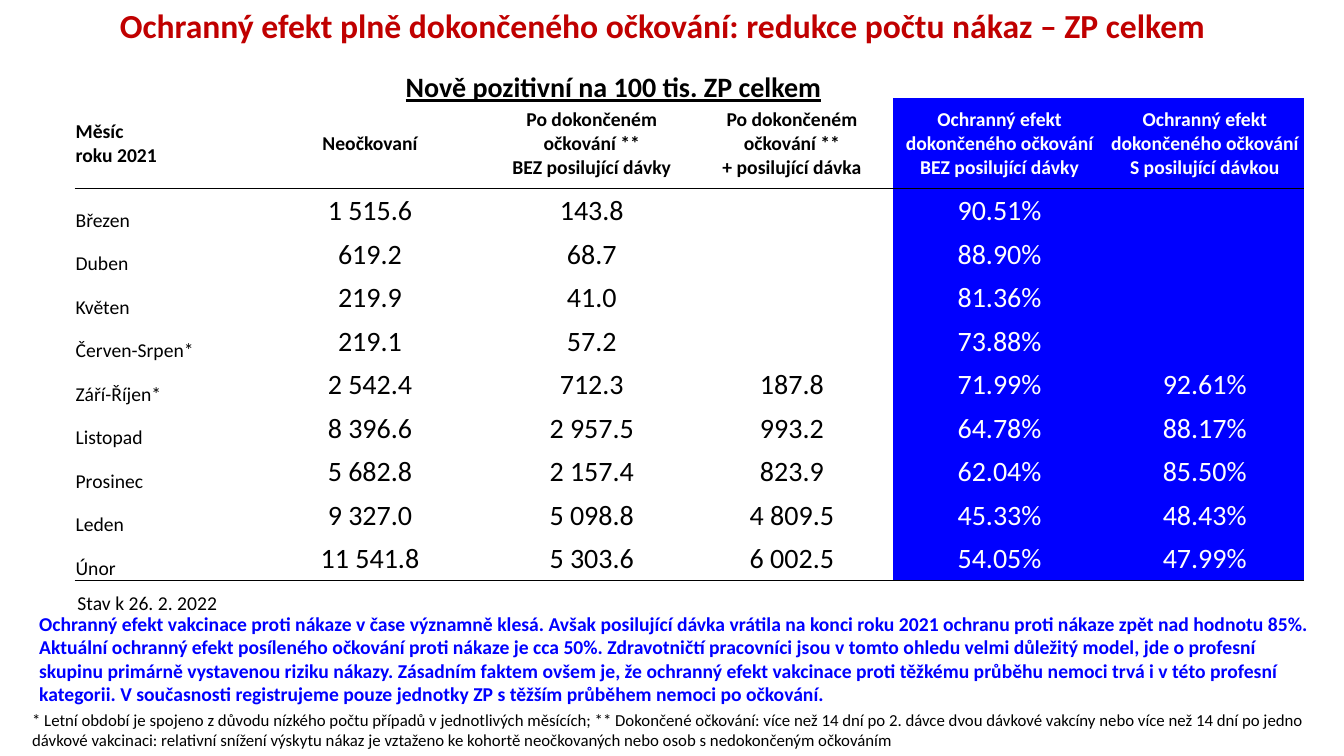
from lxml.etree import SubElement
from pptx import Presentation
from pptx.dml.color import RGBColor
from pptx.enum.text import MSO_ANCHOR, MSO_AUTO_SIZE, PP_ALIGN
from pptx.oxml import parse_xml
from pptx.oxml.ns import nsdecls, qn
from pptx.util import Inches, Pt

COLORS = {"black": "000000", "white": "FFFFFF", "red": "C00000", "blue": "0000FF"}
NO_STYLE = "{2D5ABB26-0587-4C30-8999-92F81FD0307C}"
COLUMN_WIDTHS = [1.71, 2.44, 1.96, 2.01, 2.11, 1.96]
HEADER_ROW, FIRST_EFFECT_COLUMN = 1, 4
HEADER_HEIGHT = 0.9

HEADERS = [
    "Měsíc\nroku 2021",
    "Neočkovaní",
    "Po dokončeném\nočkování **\nBEZ posilující dávky",
    "Po dokončeném\nočkování **\n+ posilující dávka",
    "Ochranný efekt dokončeného očkování BEZ posilující dávky",
    "Ochranný efekt dokončeného očkování S posilující dávkou",
]
MONTHS = [
    ["Březen", "1 515.6", "143.8", "", "90.51%", ""],
    ["Duben", "619.2", "68.7", "", "88.90%", ""],
    ["Květen", "219.9", "41.0", "", "81.36%", ""],
    ["Červen-Srpen*", "219.1", "57.2", "", "73.88%", ""],
    ["Září-Říjen*", "2 542.4", "712.3", "187.8", "71.99%", "92.61%"],
    ["Listopad", "8 396.6", "2 957.5", "993.2", "64.78%", "88.17%"],
    ["Prosinec", "5 682.8", "2 157.4", "823.9", "62.04%", "85.50%"],
    ["Leden", "9 327.0", "5 098.8", "4 809.5", "45.33%", "48.43%"],
    ["Únor", "11 541.8", "5 303.6", "6 002.5", "54.05%", "47.99%"],
]
CONCLUSION = (
    "Ochranný efekt vakcinace proti nákaze v čase významně klesá. Avšak posilující dávka "
    "vrátila na konci roku 2021 ochranu proti nákaze zpět nad hodnotu 85%. Aktuální ochranný "
    "efekt posíleného očkování proti nákaze je cca 50%. Zdravotničtí pracovníci jsou v tomto "
    "ohledu velmi důležitý model, jde o profesní skupinu primárně vystavenou riziku nákazy. "
    "Zásadním faktem ovšem je, že ochranný efekt vakcinace proti těžkému průběhu nemoci trvá "
    "i v této profesní kategorii. V současnosti registrujeme pouze jednotky ZP s těžším "
    "průběhem nemoci po očkování."
)
FOOTNOTE = (
    "* Letní období je spojeno z důvodu nízkého počtu případů v jednotlivých měsících; "
    "** Dokončené očkování: více než 14 dní po 2. dávce dvou dávkové vakcíny nebo více než "
    "14 dní po jedno dávkové vakcinaci: relativní snížení výskytu nákaz je vztaženo ke "
    "kohortě neočkovaných nebo osob s nedokončeným očkováním"
)


def write_text(text_frame, text, size=14, color="black", bold=False, underline=False,
               align=PP_ALIGN.LEFT, line_spacing=1.0):
    """Fill a text frame, one paragraph for each line of text."""
    text_frame.text = text
    for paragraph in text_frame.paragraphs:
        paragraph.alignment = align
        paragraph.line_spacing = line_spacing
        paragraph.space_before = Pt(0)
        for run in paragraph.runs:
            run.font.name = "Calibri"
            run.font.size = Pt(size)
            run.font.bold = bold
            run.font.underline = underline
            run.font.color.rgb = RGBColor.from_string(COLORS[color])


def add_bottom_border(cell):
    border = parse_xml(f'<a:lnB {nsdecls("a")} w="{Pt(1)}"/>')
    fill = SubElement(border, qn("a:solidFill"))
    SubElement(fill, qn("a:srgbClr"), val=COLORS["black"])
    cell._tc.get_or_add_tcPr().insert(0, border)


class SlideBuilder:
    def __init__(self, presentation):
        self.slide = presentation.slides.add_slide(presentation.slide_layouts[5])

    def title(self, text, left, top, width, height, **text_format):
        title = self.slide.shapes.title
        title.left, title.top = Inches(left), Inches(top)
        title.width, title.height = Inches(width), Inches(height)
        title.text_frame.auto_size = MSO_AUTO_SIZE.NONE
        title.text_frame.vertical_anchor = MSO_ANCHOR.TOP
        write_text(title.text_frame, text, **text_format)

    def text(self, text, left, top, width, height, **text_format):
        box = self.slide.shapes.add_textbox(
            Inches(left), Inches(top), Inches(width), Inches(height))
        box.text_frame.word_wrap = True
        write_text(box.text_frame, text, **text_format)

    def table(self, rows, left, top, height):
        frame = self.slide.shapes.add_table(
            len(rows), len(COLUMN_WIDTHS), Inches(left), Inches(top),
            Inches(sum(COLUMN_WIDTHS)), Inches(height))
        table = frame.table
        table.first_row = table.horz_banding = False
        table._tbl.tblPr.find(qn("a:tableStyleId")).text = NO_STYLE
        for column, width in zip(table.columns, COLUMN_WIDTHS):
            column.width = Inches(width)
        row_height = (height - HEADER_HEIGHT) / (len(rows) - 1)
        for row_index, values in enumerate(rows):
            is_header = row_index == HEADER_ROW
            table.rows[row_index].height = Inches(HEADER_HEIGHT if is_header else row_height)
            for column_index, value in enumerate(values):
                self.cell(table.cell(row_index, column_index), value, row_index, column_index)
                if is_header or row_index == len(rows) - 1:
                    add_bottom_border(table.cell(row_index, column_index))
        table.cell(0, 2).merge(table.cell(0, 5))

    def cell(self, cell, value, row_index, column_index):
        is_header = row_index == HEADER_ROW
        is_month = column_index == 0
        is_effect = row_index >= HEADER_ROW and column_index >= FIRST_EFFECT_COLUMN
        cell.margin_left = cell.margin_right = cell.margin_top = Inches(0.01)
        cell.margin_bottom = 0
        cell.vertical_anchor = (
            MSO_ANCHOR.BOTTOM if is_month and not is_header else MSO_ANCHOR.MIDDLE)
        if is_effect:
            cell.fill.solid()
            cell.fill.fore_color.rgb = RGBColor.from_string(COLORS["blue"])
        else:
            cell.fill.background()
        write_text(cell.text_frame, value, size=14 if is_header or is_month else 20,
                   color="white" if is_effect else "black", bold=is_header,
                   align=PP_ALIGN.LEFT if is_month else PP_ALIGN.CENTER)


def main():
    presentation = Presentation()
    presentation.slide_width, presentation.slide_height = Inches(13.33), Inches(7.5)
    builder = SlideBuilder(presentation)
    builder.title("Ochranný efekt plně dokončeného očkování: redukce počtu nákaz – ZP celkem",
                  0.22, 0.04, 12.7, 1.45, size=24, color="red", bold=True,
                  align=PP_ALIGN.CENTER, line_spacing=0.9)
    builder.text("Nově pozitivní na 100 tis. ZP celkem", 3.87, 0.64, 4.43, 0.44,
                 size=20, bold=True, underline=True, align=PP_ALIGN.CENTER)
    builder.text(FOOTNOTE, 0.22, 6.99, 12.99, 0.5, size=12)
    builder.table([[""] * len(HEADERS), HEADERS, *MONTHS], 0.74, 0.54, 5.22)
    builder.text("Stav k 26. 2. 2022", 0.67, 5.81, 2.21, 0.34)
    builder.text(CONCLUSION, 0.29, 6.02, 12.87, 1.04, color="blue", bold=True)
    presentation.save("out.pptx")


if __name__ == "__main__":
    main()
